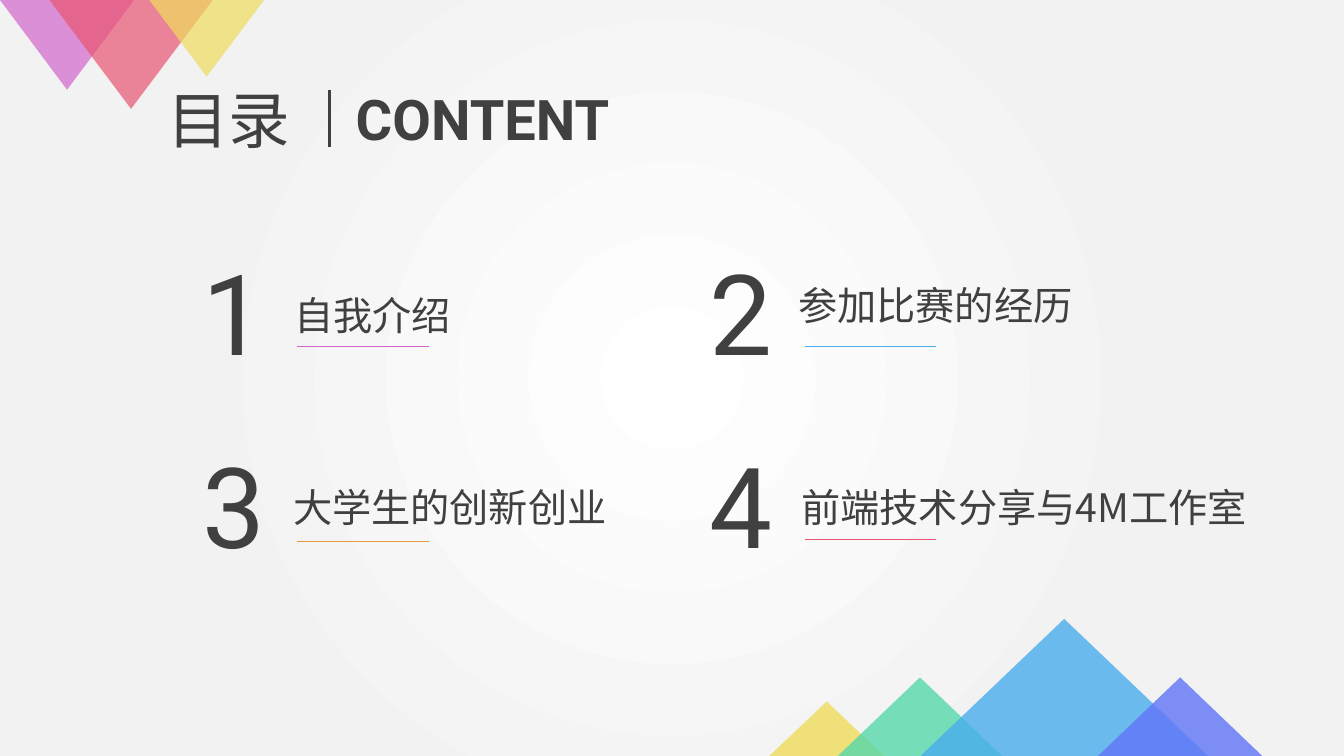
from dataclasses import dataclass

from lxml import etree
from pptx import Presentation
from pptx.dml.color import RGBColor
from pptx.enum.shapes import MSO_CONNECTOR, MSO_SHAPE
from pptx.enum.text import MSO_AUTO_SIZE, PP_ALIGN
from pptx.oxml import parse_xml
from pptx.oxml.ns import nsdecls, qn
from pptx.slide import Slide
from pptx.util import Inches, Pt

TRIANGLE = MSO_SHAPE.ISOSCELES_TRIANGLE
STRAIGHT = MSO_CONNECTOR.STRAIGHT
GROW = MSO_AUTO_SIZE.SHAPE_TO_FIT_TEXT
LEFT, JUSTIFY = PP_ALIGN.LEFT, PP_ALIGN.JUSTIFY


@dataclass(frozen=True)
class Theme:
    ink: str = "404040"
    pale: str = "F2F2F2"
    white: str = "FFFFFF"
    yellow: str = "EEDC5C"
    green: str = "56D8AA"
    blue: str = "4AADEE"
    violet: str = "6074F8"
    purple: str = "D165CB"
    pink: str = "E95572"
    orange: str = "E89C3F"
    han: str = "Noto Sans CJK SC"
    latin: str = "Roboto"
    head: int = 44
    sub: int = 40
    digit: int = 80
    item: int = 28


@dataclass(frozen=True)
class Peak:
    left: float
    width: float
    height: float
    color: str


@dataclass(frozen=True)
class Topic:
    title: str
    left: float
    top: float
    width: float
    rule: float
    color: str


THEME = Theme()
WIDE, HIGH = 13.33, 7.5

HILLS = [
    Peak(7.63, 1.14, 0.54, THEME.yellow),
    Peak(8.31, 1.63, 0.78, THEME.green),
    Peak(9.13, 2.85, 1.36, THEME.blue),
    Peak(10.89, 1.63, 0.78, THEME.violet),
]
FLAGS = [
    Peak(0, 1.33, 0.89, THEME.purple),
    Peak(0.49, 1.62, 1.08, THEME.pink),
    Peak(1.48, 1.14, 0.76, THEME.yellow),
]
TOPICS = [
    Topic("自我介绍", 2.82, 2.84, 2.55, 3.44, THEME.purple),
    Topic("参加比赛的经历", 7.82, 2.74, 3.35, 3.44, THEME.blue),
    Topic("大学生的创新创业", 2.81, 4.75, 3.83, 5.37, THEME.orange),
    Topic("前端技术分享与4M工作室", 7.85, 4.75, 4.99, 5.35, THEME.pink),
]


def set_glow(slide: Slide) -> None:
    """Fill the background with a circular gradient from the centre."""
    slide.element.cSld.insert(0, parse_xml(
        f'<p:bg {nsdecls("p", "a")}><p:bgPr><a:gradFill rotWithShape="1"><a:gsLst>'
        f'<a:gs pos="0"><a:srgbClr val="{THEME.white}"/></a:gs>'
        f'<a:gs pos="65000"><a:srgbClr val="{THEME.pale}"/></a:gs></a:gsLst>'
        '<a:path path="circle">'
        '<a:fillToRect l="50000" t="50000" r="50000" b="50000"/></a:path>'
        '</a:gradFill><a:effectLst/></p:bgPr></p:bg>'))


def add_peak(slide: Slide, peak: Peak, top: float, turn: int, alpha: int) -> None:
    shape = slide.shapes.add_shape(
        TRIANGLE, Inches(peak.left), Inches(top),
        Inches(peak.width), Inches(peak.height))
    shape.rotation = turn
    shape.shadow.inherit = False
    shape.line.fill.background()
    shape.fill.solid()
    shape.fill.fore_color.rgb = RGBColor.from_string(peak.color)
    color = shape.element.spPr.find(f'{qn("a:solidFill")}/{qn("a:srgbClr")}')
    etree.SubElement(color, qn("a:alpha"), val=str(alpha * 1000))


def add_text(slide: Slide, text: str, left: float, top: float, width: float,
             height: float, size: int, face: str, bold: bool = False,
             align: PP_ALIGN = LEFT) -> None:
    box = slide.shapes.add_textbox(
        Inches(left), Inches(top), Inches(width), Inches(height))
    frame = box.text_frame
    frame.word_wrap = True
    frame.auto_size = GROW
    para = frame.paragraphs[0]
    para.alignment = align
    run = para.add_run()
    run.text = text
    font = run.font
    font.size, font.name, font.bold = Pt(size), face, bold
    font.color.rgb = RGBColor.from_string(THEME.ink)
    etree.SubElement(run._r.get_or_add_rPr(), qn("a:ea"), typeface=face)


def add_rule(slide: Slide, left: float, top: float, right: float, foot: float,
             color: str, weight: float) -> None:
    rule = slide.shapes.add_connector(
        STRAIGHT, Inches(left), Inches(top), Inches(right), Inches(foot))
    rule.line.color.rgb = RGBColor.from_string(color)
    rule.line.width = Pt(weight)
    etree.SubElement(rule.element.spPr, qn("a:effectLst"))


def add_topic(slide: Slide, index: int, topic: Topic) -> None:
    row, col = divmod(index, 2)
    left, top = 1.91 + 5.03 * col, 2.37 + 1.91 * row
    add_text(slide, str(index + 1), left, top, 0.91, 1.45,
             THEME.digit, THEME.latin, align=JUSTIFY)
    add_text(slide, topic.title, topic.left, topic.top, topic.width, 0.6,
             THEME.item, THEME.han)
    start = left + 1.04
    add_rule(slide, start, topic.rule, start + 1.3, topic.rule, topic.color, 0.5)


def main() -> None:
    deck = Presentation()
    deck.slide_width, deck.slide_height = Inches(WIDE), Inches(HIGH)
    slide = deck.slides.add_slide(deck.slide_layouts[6])
    set_glow(slide)
    add_text(slide, "目录", 1.56, 0.76, 1.61, 0.84,
             THEME.head, THEME.han, align=JUSTIFY)
    for hill in HILLS:
        add_peak(slide, hill, HIGH - hill.height, 0, 80)
    for flag in FLAGS:
        add_peak(slide, flag, 0, 180, 70)
    add_text(slide, "CONTENT", 3.43, 0.79, 3.52, 0.77,
             THEME.sub, THEME.latin, bold=True)
    add_rule(slide, 3.27, 0.89, 3.27, 1.46, THEME.ink, 1.75)
    for index, topic in enumerate(TOPICS):
        add_topic(slide, index, topic)
    deck.save("out.pptx")


if __name__ == "__main__":
    main()
